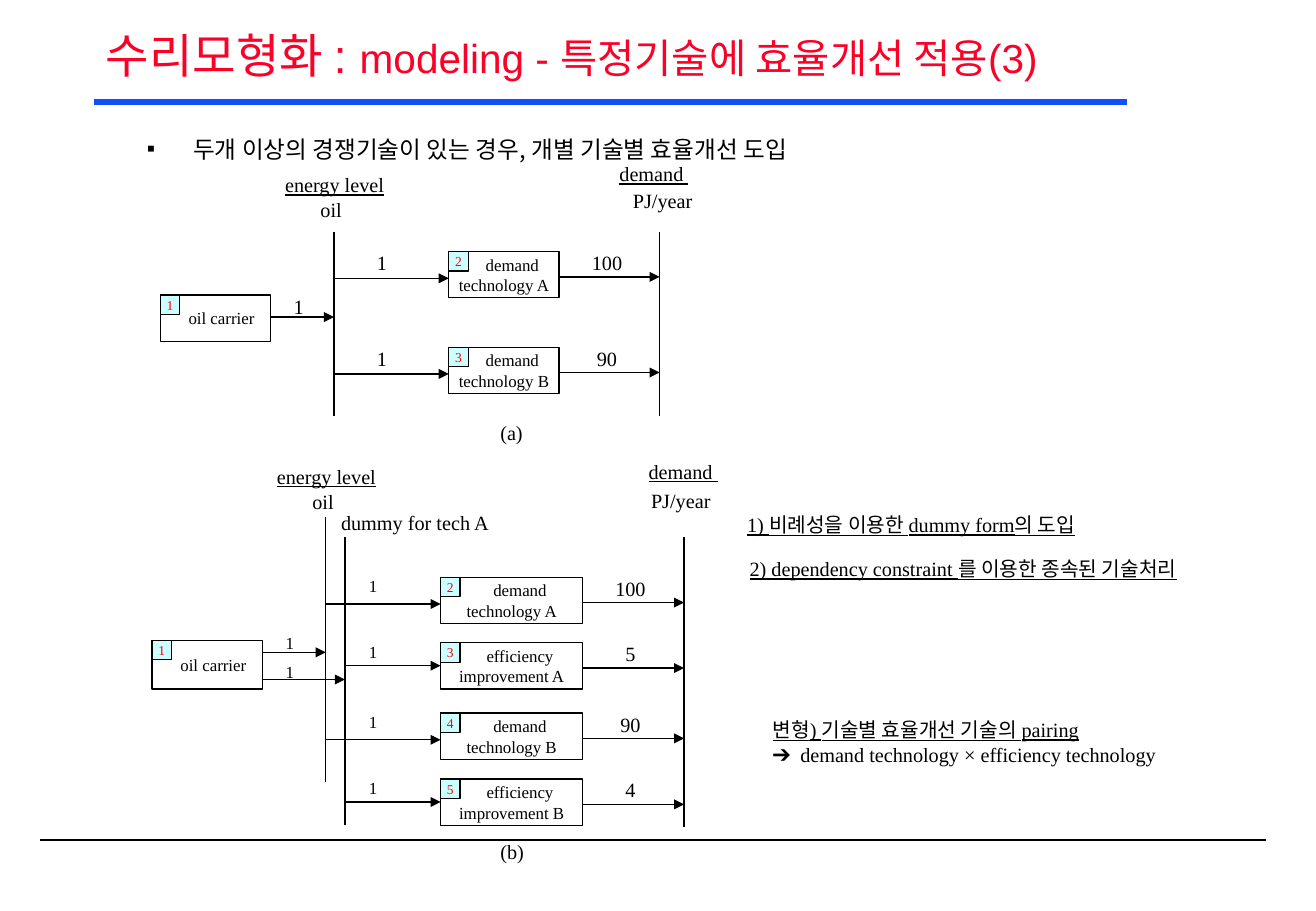
from dataclasses import dataclass

from lxml.etree import SubElement
from pptx import Presentation
from pptx.dml.color import RGBColor
from pptx.enum.shapes import MSO_CONNECTOR as Connector, MSO_SHAPE as Shape
from pptx.enum.text import MSO_ANCHOR as Anchor, MSO_AUTO_SIZE as AutoSize, PP_ALIGN as Align
from pptx.oxml.ns import qn
from pptx.util import Cm, Pt

COLORS = {"black": "000000", "title": "FC0128", "rule": "114FFB", "tag": "CCFFFF", "number": "FF0000"}
SERIF, SANS, KOREAN = "Times New Roman", "Arial", "Noto Sans CJK KR"

# Horizontal places shared by both diagrams, in cm from the diagram's left edge
LEVEL_X, DUMMY_X, TECHNOLOGY_X = 3.63, 4.03, 6.03
CARRIER_WIDTH, BOX_HEIGHT, TAG_SIZE = 2.31, 0.97, 0.41


@dataclass
class Box:
    left: float
    top: float
    width: float
    height: float

    def inner(self, x, y, width, height):
        return Box(self.left + x, self.top + y, width, height)

    def lengths(self):
        return Cm(self.left), Cm(self.top), Cm(self.width), Cm(self.height)


def color(name):
    return RGBColor.from_string(COLORS[name])


def style(paragraph, size, name=SERIF, tint="black", underline=None):
    font = paragraph.font
    font.size, font.name, font.underline = Pt(size), name, underline
    font.color.rgb = color(tint)


def add_line(slide, start, end, width=0.75, tint="black", arrow=False):
    line = slide.shapes.add_connector(Connector.STRAIGHT, *(Cm(value) for value in (*start, *end)))
    line.line.width = Pt(width)
    line.line.color.rgb = color(tint)
    if arrow:
        SubElement(line.line._get_or_add_ln(), qn("a:tailEnd"), type="triangle")
    SubElement(line._element.spPr, qn("a:effectLst"))


def add_text(slide, box, text, size=12, underline=None, align=Align.LEFT, wrap=False):
    frame = slide.shapes.add_textbox(*box.lengths()).text_frame
    frame.word_wrap = wrap
    frame.auto_size = AutoSize.SHAPE_TO_FIT_TEXT
    frame.text = text
    for paragraph in frame.paragraphs:
        paragraph.alignment = align
        style(paragraph, size, underline=underline)
    return frame


def add_rectangle(slide, box, lines, size, tint="black", fill=None, indent=0):
    """Draw a framed label; indent shifts its first line to the right."""
    shape = slide.shapes.add_shape(Shape.RECTANGLE, *box.lengths())
    shape.shadow.inherit = False
    shape.line.color.rgb = color("black")
    shape.line.width = Pt(0.75)
    if fill:
        shape.fill.solid()
        shape.fill.fore_color.rgb = color(fill)
    else:
        shape.fill.background()
    frame = shape.text_frame
    frame.word_wrap = False
    frame.vertical_anchor = Anchor.MIDDLE
    frame.text = "\n".join(lines)
    for paragraph in frame.paragraphs:
        paragraph.alignment = Align.CENTER
        style(paragraph, size, tint=tint)
    frame.paragraphs[0]._p.get_or_add_pPr().set("indent", str(Cm(indent)))


def add_numbered_box(slide, box, number, lines, indent):
    add_rectangle(slide, box, lines, 10, indent=indent)
    add_rectangle(slide, box.inner(0, 0, TAG_SIZE, TAG_SIZE), [str(number)], 8, "number", "tag")


def add_technology(slide, box, number, lines, source_x, demand_x, output, input_size, input_y):
    """Draw a technology with its input arrow from source_x and its output arrow to demand_x."""
    right, output_y = box.left + box.width, box.top + 0.53
    add_line(slide, (source_x, box.top + input_y), (box.left, box.top + input_y), arrow=True)
    add_line(slide, (right, output_y), (demand_x, output_y), arrow=True)
    add_text(slide, box.inner(-1.75, -0.15, 0.71, 0.76), "1", input_size)
    add_text(slide, box.inner(box.width - 0.17, -0.15, 2.34, 0.76), output, align=Align.CENTER, wrap=True)
    add_numbered_box(slide, box, number, lines, 0.35)


def add_diagram(slide, box, headings, verticals, carrier, supplies, technologies, technology_width, input_size):
    """Draw an energy flow; the box runs from the carrier to the demand line."""
    for text, x, y, width, underline in headings:
        add_text(slide, box.inner(x, y, width, 0.76), text, underline=underline)
    for x, top, bottom in verticals:
        add_line(slide, (box.left + x, box.top + top), (box.left + x, box.top + bottom))

    carrier_y, carrier_height = carrier
    add_numbered_box(slide, box.inner(0, carrier_y, CARRIER_WIDTH, carrier_height), 1, ["oil carrier"], 0.25)
    for target_x, y, label_y in supplies:
        add_line(slide, (box.left + CARRIER_WIDTH, box.top + y), (box.left + target_x, box.top + y), arrow=True)
        add_text(slide, box.inner(2.54, label_y, 0.71, 0.76), "1", input_size)

    for number, (y, kind, name, source_x, output) in enumerate(technologies, 2):
        add_technology(
            slide, box.inner(TECHNOLOGY_X, y, technology_width, BOX_HEIGHT), number, [kind, name],
            box.left + source_x, box.left + box.width, output, input_size,
            0.48 if source_x == DUMMY_X else 0.56)


def add_heading(slide, box):
    title = slide.shapes.title
    title.left, title.top, title.width, title.height = box.lengths()
    frame = title.text_frame
    frame.auto_size = AutoSize.NONE
    frame.vertical_anchor = Anchor.MIDDLE
    paragraph = frame.paragraphs[0]
    paragraph.alignment = Align.JUSTIFY
    paragraph.line_spacing = 0.9
    style(paragraph, 24, SANS, "title")
    for text, size in (("수리모형화 : ", 28), ("modeling - 특정기술에 효율개선 적용(3)", 24)):
        run = paragraph.add_run()
        run.text = text
        run.font.size = Pt(size)
    rule_y = box.top + 1.7
    add_line(slide, (box.left, rule_y), (box.left + 21.59, rule_y), 3.75, "rule")


def add_topic(slide, box):
    frame = slide.shapes.add_textbox(*box.lengths()).text_frame
    frame.word_wrap = True
    frame.text = "두개 이상의 경쟁기술이 있는 경우, 개별 기술별 효율개선 도입"
    paragraph = frame.paragraphs[0]
    properties = paragraph._p.get_or_add_pPr()
    properties.set("marL", str(Cm(0.97)))
    properties.set("indent", str(Cm(-0.97)))
    SubElement(SubElement(properties, qn("a:buClr")), qn("a:srgbClr"), val=COLORS["black"])
    SubElement(properties, qn("a:buFont"), typeface=SANS)
    SubElement(properties, qn("a:buChar"), char="▪")
    style(paragraph, 14, KOREAN)


def add_notes_column(slide, box):
    add_text(slide, box.inner(0, 0, 9.2, 0.76), "1) 비례성을 이용한 dummy form의 도입", underline=True)
    add_text(slide, box.inner(0.05, 0.92, 10.13, 0.76),
             "2) dependency constraint 를 이용한 종속된 기술처리", underline=True)
    frame = add_text(slide, box.inner(0.53, 4.29, 9.2, 1.27), "변형) 기술별 효율개선 기술의 pairing", underline=True)
    pairing = frame.add_paragraph()
    pairing.text = "➔\tdemand technology × efficiency technology"
    tabs = SubElement(pairing._p.get_or_add_pPr(), qn("a:tabLst"))
    SubElement(tabs, qn("a:tab"), pos=str(Cm(0.58)), algn="l")
    style(pairing, 12)


def main():
    presentation = Presentation()
    presentation.slide_width, presentation.slide_height = Cm(27.51), Cm(19.05)
    slide = presentation.slides.add_slide(presentation.slide_layouts[5])

    add_line(slide, (0.84, 17.57), (26.47, 17.57), 1)
    add_heading(slide, Box(1.96, 0.43, 23.6, 1.57))
    add_topic(slide, Box(2.82, 2.69, 22.25, 1.07))
    add_diagram(
        slide, Box(3.35, 3.25, 10.44, 6.17),
        headings=[("energy level", 2.36, 0.23, 3.2, True), ("oil", 3.1, 0.76, 1.2, None),
                  ("demand ", 9.35, 0, 2.5, True), ("PJ/year", 9.63, 0.56, 2.5, None),
                  ("(a)", 6.86, 5.41, 1.2, None)],
        verticals=[(LEVEL_X, 1.6, 5.44), (10.44, 1.6, 5.44)],
        carrier=(2.92, 0.97), supplies=[(LEVEL_X, 3.38, 2.78)],
        technologies=[(2.01, "demand", "technology A", LEVEL_X, "100"),
                      (4.01, "demand", "technology B", LEVEL_X, "90")],
        technology_width=2.31, input_size=12)
    add_diagram(
        slide, Box(3.18, 9.47, 11.12, 8.71),
        headings=[("energy level", 2.36, 0.11, 3.2, True), ("oil", 3.1, 0.64, 1.2, None),
                  ("dummy for tech A", 3.7, 1.07, 4.2, None),
                  ("demand ", 10.13, 0, 2.5, True), ("PJ/year", 10.18, 0.61, 2.5, None),
                  ("(b)", 7.03, 7.95, 1.2, None)],
        verticals=[(LEVEL_X, 1.35, 6.89), (DUMMY_X, 1.76, 7.78), (11.12, 1.76, 7.83)],
        carrier=(3.92, 1.02), supplies=[(LEVEL_X, 4.17, 3.64), (DUMMY_X, 4.74, 4.25)],
        technologies=[(2.6, "demand", "technology A", LEVEL_X, "100"),
                      (3.97, "efficiency", "improvement A", DUMMY_X, "5"),
                      (5.44, "demand", "technology B", LEVEL_X, "90"),
                      (6.82, "efficiency", "improvement B", DUMMY_X, "4")],
        technology_width=2.97, input_size=10)
    add_notes_column(slide, Box(15.37, 10.59, 10.2, 5.6))
    presentation.save("out.pptx")


if __name__ == "__main__":
    main()
